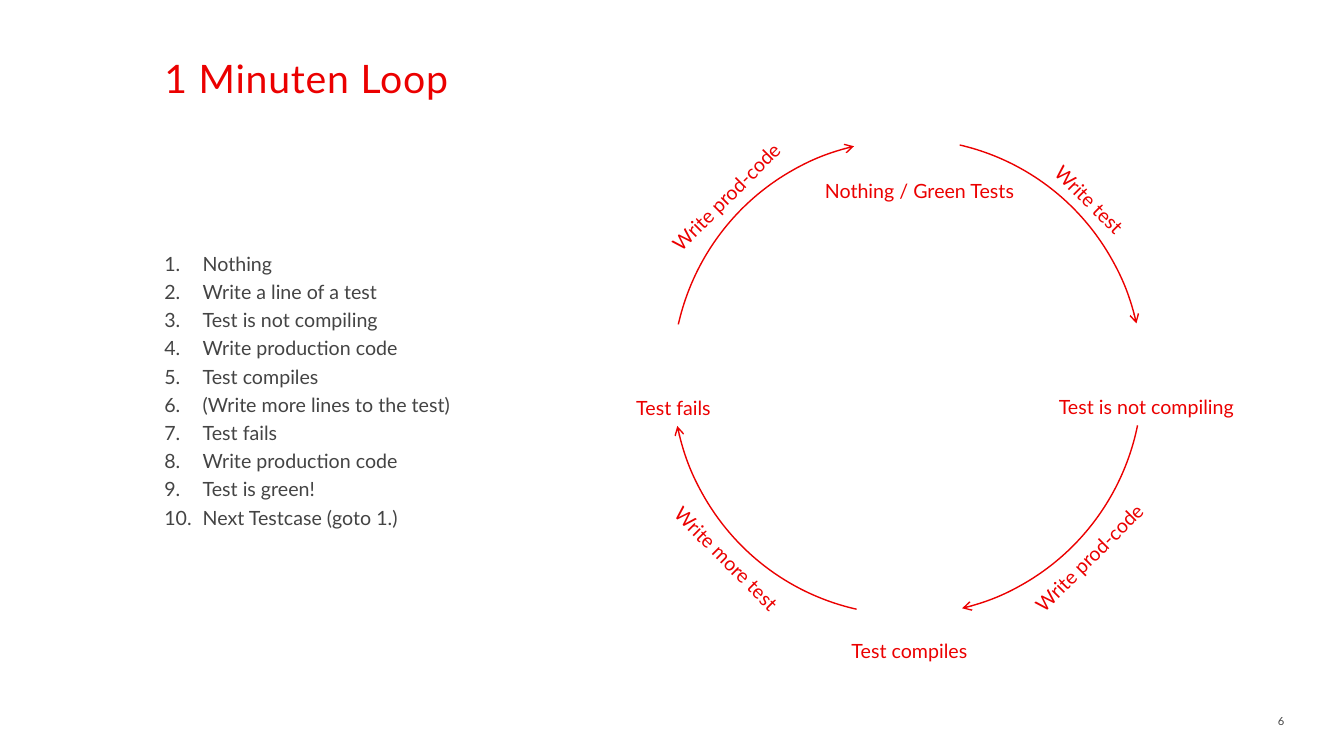
import pptx
import pptx.util
import pptx.dml.color
import pptx.enum.shapes
import pptx.enum.text
import pptx.oxml
import pptx.oxml.ns

Inches = pptx.util.Inches
Pt = pptx.util.Pt
ALIGN = pptx.enum.text.PP_ALIGN
RED = pptx.dml.color.RGBColor(0xEB, 0x00, 0x00)
GRAY = pptx.dml.color.RGBColor(0x44, 0x44, 0x44)
FONT = "Lato"
NS = pptx.oxml.ns.nsdecls("a")

STEPS = [
    "Nothing",
    "Write a line of a test",
    "Test is not compiling",
    "Write production code",
    "Test compiles",
    "(Write more lines to the test)",
    "Test fails",
    "Write production code",
    "Test is green!",
    "Next Testcase (goto 1.)",
]
# top, start angle, end angle
ARCS = [
    (1.38, 282.76, 347.1),
    (1.39, 192.93, 256.98),
    (1.4, 102.38, 168.2),
    (1.4, 11.64, 76.63),
]
# text, left, top, height, rotation
LABELS = [
    ("Write test", 9.68, 1.79, 0.51, 45),
    ("Write prod-code", 9.81, 5.34, 0.52, 315),
    ("Write more test", 6.08, 5.35, 0.51, 45),
    ("Write prod-code", 6.21, 1.76, 0.52, 315),
    ("Test fails", 5.62, 3.88, 0.29, 0),
    ("Nothing / Green Tests", 8.06, 1.73, 0.29, 0),
    ("Test is not compiling", 10.31, 3.87, 0.29, 0),
    ("Test compiles", 7.96, 6.29, 0.29, 0),
]


def place(shape, left, top, width, height):
    shape.left, shape.top = Inches(left), Inches(top)
    shape.width, shape.height = Inches(width), Inches(height)


def style(shape, text, size, color, align=ALIGN.LEFT, lead=1.0, track=0):
    """Fill a shape with text; track is letter spacing in 1/100 pt."""
    frame = shape.text_frame
    frame.text = text
    frame.word_wrap = True
    frame.auto_size = pptx.enum.text.MSO_AUTO_SIZE.NONE
    frame.vertical_anchor = pptx.enum.text.MSO_ANCHOR.TOP
    frame.margin_left = frame.margin_right = 0
    frame.margin_top = frame.margin_bottom = 0
    for para in frame.paragraphs:
        para.alignment = align
        para.line_spacing = lead
        para.space_before = Pt(0)
        for run in para.runs:
            run.font.name = FONT
            run.font.size = Pt(size)
            run.font.color.rgb = color
            if track:
                run.font._element.set("spc", str(track))


def number(shape, indent):
    """Turn the paragraphs into a numbered list."""
    for para in shape.text_frame.paragraphs:
        props = para._p.get_or_add_pPr()
        props.set("marL", str(Inches(indent)))
        props.set("indent", str(-Inches(indent)))
        props.append(pptx.oxml.parse_xml(
            f'<a:buFont {NS} typeface="+mj-lt"/>'))
        props.append(pptx.oxml.parse_xml(
            f'<a:buAutoNum {NS} type="arabicPeriod"/>'))


def add_arc(slide, top, start, end):
    arc = slide.shapes.add_shape(
        pptx.enum.shapes.MSO_SHAPE.ARC,
        Inches(6.67), Inches(top), Inches(4.66), Inches(4.7))
    # Angles are stored in 60000ths of a degree, adjustments in 100000ths
    arc.adjustments[0] = start * 0.6
    arc.adjustments[1] = end * 0.6
    arc.shadow.inherit = False
    arc.fill.background()
    arc.line.color.rgb = RED
    arc.line.width = Pt(1)
    arc.line._get_or_add_ln().append(pptx.oxml.parse_xml(
        f'<a:tailEnd {NS} type="arrow"/>'))


def add_text(slide, left, top, width, height):
    return slide.shapes.add_textbox(
        Inches(left), Inches(top), Inches(width), Inches(height))


def main():
    deck = pptx.Presentation()
    deck.slide_width, deck.slide_height = Inches(13.33), Inches(7.5)
    slide = deck.slides.add_slide(deck.slide_layouts[1])

    title = slide.shapes.title
    place(title, 1.63, 0.54, 9.85, 0.93)
    style(title, "1 Minuten Loop", 28, RED, track=60)

    steps = slide.placeholders[1]
    place(steps, 1.63, 2.45, 2.86, 4.57)
    style(steps, "\n".join(STEPS), 14, GRAY, lead=1.2)
    number(steps, 0.38)

    for top, start, end in ARCS:
        add_arc(slide, top, start, end)
    for text, left, top, height, turn in LABELS:
        label = add_text(slide, left, top, 2.12, height)
        label.rotation = turn
        style(label, text, 14, RED, ALIGN.CENTER, 1.2)

    page = add_text(slide, 11.92, 7.09, 0.82, 0.14)
    style(page, "6", 8, GRAY, ALIGN.RIGHT, track=10)
    deck.save("out.pptx")


if __name__ == "__main__":
    main()
